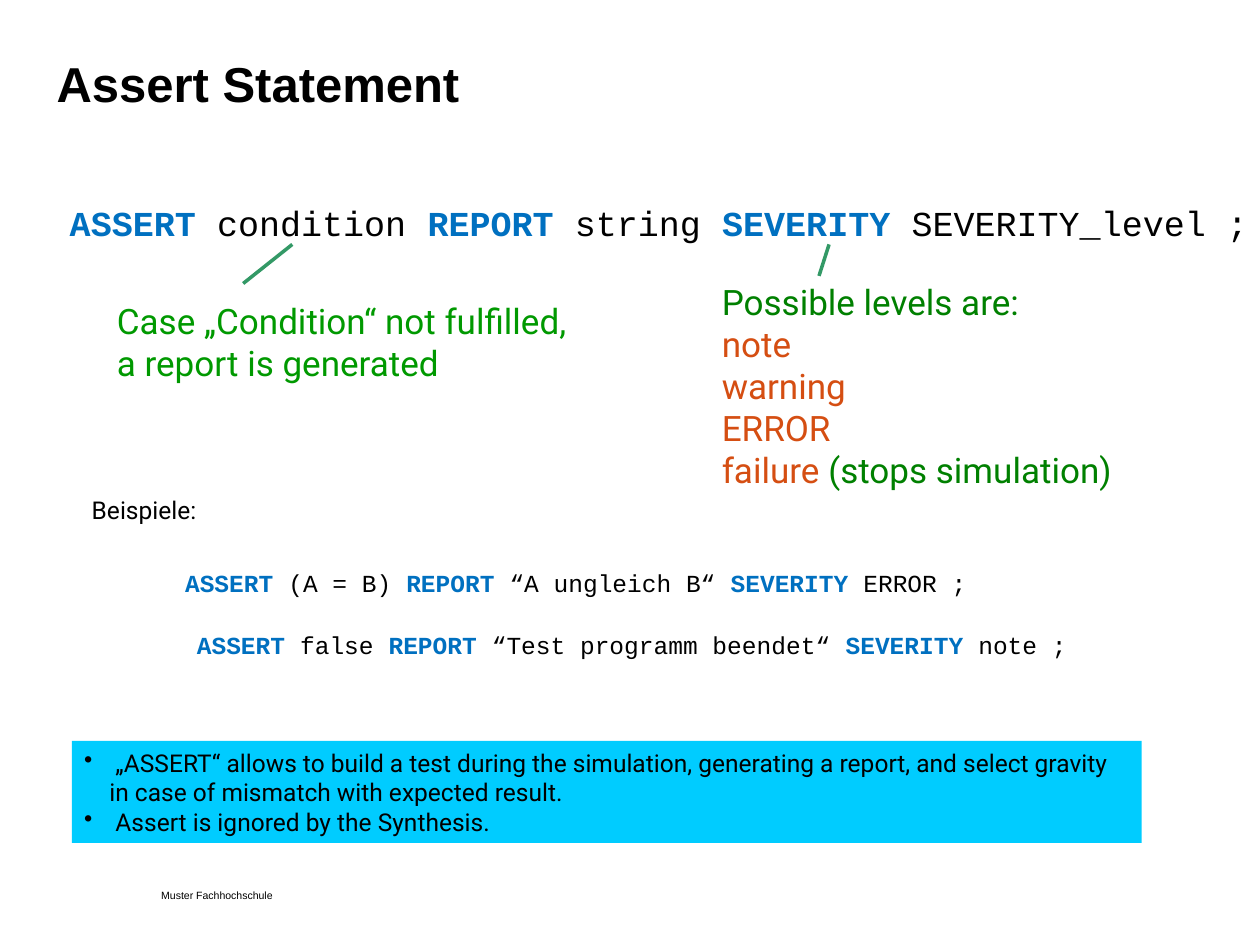
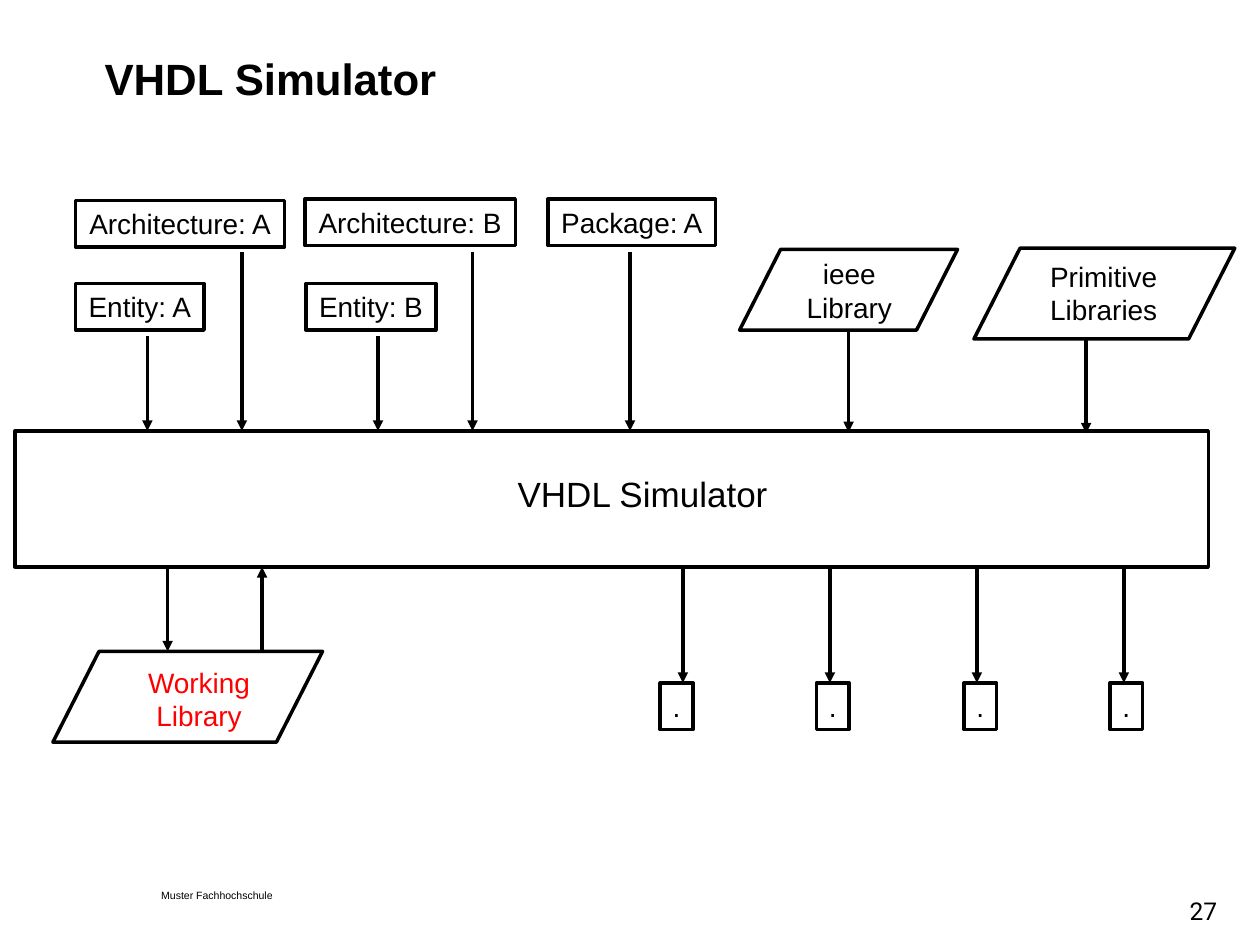
"""Build two VHDL slides: the assert statement and the simulator overview."""
from dataclasses import dataclass
from itertools import groupby

from lxml.etree import SubElement
from pptx import Presentation
from pptx.dml.color import RGBColor as RGB
from pptx.enum.shapes import MSO_CONNECTOR as CONN, MSO_SHAPE as SHAPE
from pptx.enum.text import MSO_ANCHOR as ANCHOR, PP_ALIGN as ALIGN
from pptx.oxml.ns import qn
from pptx.util import Inches, Pt


@dataclass(frozen=True)
class Theme:
    """Colours, fonts and type sizes shared by the slides."""
    black: str = "000000"
    keyword: str = "0070C0"
    levels: str = "008000"
    level_name: str = "D54E12"
    comment: str = "009900"
    callout: str = "339966"
    panel: str = "00CCFF"
    working: str = "FF0000"
    sans: str = "Arial"
    body: str = "Roboto"
    code: str = "Courier New"
    large: int = 20
    label: int = 16
    small: int = 14
    footer: int = 6
    stroke: int = 2


T = Theme()
KEYWORDS = {"ASSERT", "REPORT", "SEVERITY"}
PADDING = (0.1, 0.05)
SIM_TOP, SIM_BOTTOM = 3.42, 4.5
OUTPUT_TOP = 5.42


def set_font(font, name, size, color=None, bold=False):
    """Set typeface, size, weight and optionally colour."""
    font.name, font.size, font.bold = name, Pt(size), bold
    if color:
        font.color.rgb = RGB.from_string(color)


def set_frame(tf, padding=PADDING, wrap=False, anchor=ANCHOR.TOP):
    """Set margins, wrapping and vertical anchor of a text frame."""
    tf.margin_left = tf.margin_right = Inches(padding[0])
    tf.margin_top = tf.margin_bottom = Inches(padding[1])
    tf.word_wrap, tf.vertical_anchor = wrap, anchor


def add_lines(p, text, color=None, bold=None):
    """Append text to a paragraph, with a line break at each newline."""
    for i, line in enumerate(text.split("\n")):
        if i:
            p.add_line_break()
        if line:
            r = p.add_run()
            r.text = line
            if color:
                r.font.color.rgb = RGB.from_string(color)
            if bold is not None:
                r.font.bold = bold


def add_text(s, at, text, name, size, color=T.black, align=ALIGN.LEFT,
             bold=False, **frame):
    """Add a text box with one paragraph and return the paragraph."""
    tf = s.shapes.add_textbox(*map(Inches, at)).text_frame
    set_frame(tf, **frame)
    p = tf.paragraphs[0]
    p.alignment = align
    set_font(p.font, name, size, color, bold)
    add_lines(p, text, color)
    return p


def add_title(s, at, text, size):
    """Add the bold slide title."""
    p = add_text(s, at, text, T.sans, size, bold=True, padding=(0, 0), wrap=True)
    p.line_spacing = Pt(28.1)


def add_footer(s):
    """Add the school name at the foot of the slide."""
    p = add_text(s, (1.28, 7.07, 1.13, 0.08), "Muster Fachhochschule", T.sans,
                 T.footer, padding=(0, 0), wrap=True)
    p.line_spacing = Pt(6.1)


def add_code(s, at, code, size):
    """Add a code line with its keywords bold and coloured."""
    p = add_text(s, at, "", T.code, size, align=ALIGN.CENTER)
    groups = [(is_kw, " ".join(words)) for is_kw, words
              in groupby(code.split(), lambda word: word in KEYWORDS)]
    for i, (is_kw, text) in enumerate(groups, 1):
        gap = " " if i < len(groups) else ""
        add_lines(p, text + gap, T.keyword if is_kw else T.black, is_kw)


def add_line(s, start, end, color=T.black, arrow=False):
    """Add a straight line, optionally with an arrowhead at its end."""
    line = s.shapes.add_connector(CONN.STRAIGHT, *map(Inches, (*start, *end)))
    line.line.color.rgb = RGB.from_string(color)
    line.line.width = Pt(T.stroke)
    if arrow:
        SubElement(line.line._get_or_add_ln(), qn("a:tailEnd"), type="triangle")
    SubElement(line._element.spPr, qn("a:effectLst"))


def add_arrow(s, x, top, bottom):
    """Add a vertical arrow from the first height to the second."""
    add_line(s, (x, top), (x, bottom), arrow=True)


def add_outline(s, at, kind=SHAPE.RECTANGLE):
    """Add an unfilled shape with a black outline."""
    sp = s.shapes.add_shape(kind, *map(Inches, at))
    sp.shadow.inherit = False
    sp.fill.background()
    sp.line.color.rgb = RGB.from_string(T.black)
    sp.line.width = Pt(T.stroke)
    return sp


def add_box(s, at, text):
    """Add an outlined box with a centred label."""
    tf = add_outline(s, at).text_frame
    set_frame(tf, anchor=ANCHOR.MIDDLE)
    p = tf.paragraphs[0]
    p.alignment = ALIGN.CENTER
    set_font(p.font, T.sans, T.label, T.black)
    add_lines(p, text, T.black)


def add_library(s, at, label_at, text, color=T.black):
    """Add a library parallelogram with its label."""
    sp = add_outline(s, at, SHAPE.PARALLELOGRAM)
    sp.adjustments[0] = 0.508
    add_text(s, label_at, text, T.sans, T.label, color, ALIGN.CENTER)


def add_bullet_panel(s, at, items):
    """Add a filled panel with a bulleted list."""
    sp = s.shapes.add_shape(SHAPE.RECTANGLE, *map(Inches, at))
    sp.shadow.inherit = False
    sp.fill.solid()
    sp.fill.fore_color.rgb = RGB.from_string(T.panel)
    sp.line.fill.background()
    tf = sp.text_frame
    set_frame(tf, anchor=ANCHOR.MIDDLE)
    for i, item in enumerate(items):
        p = tf.add_paragraph() if i else tf.paragraphs[0]
        p.alignment = ALIGN.LEFT
        set_font(p.font, T.body, T.small, T.black)
        pPr = p._p.get_or_add_pPr()
        pPr.set("marL", str(Inches(0.2)))
        pPr.set("indent", str(-Inches(0.2)))
        bullet = pPr.makeelement(qn("a:buChar"), {"char": "•"})
        pPr.insert(0, bullet)
        add_lines(p, item, T.black)


def build_assert_slide(s):
    """Build the slide on the assert statement."""
    add_footer(s)
    add_title(s, (0.45, 0.5, 8.5, 0.81), "Assert Statement", 28)
    add_code(s, (0.42, 1.55, 9.62, 0.44),
             "ASSERT condition REPORT string SEVERITY SEVERITY_level ;", T.large)

    p = add_text(s, (5.63, 2.18, 3.31, 1.79), "Possible levels are:\n",
                 T.body, T.large, T.levels)
    add_lines(p, "note\nwarning\nERROR\nfailure ", T.level_name)
    add_lines(p, "(stops simulation)", T.levels)
    add_text(s, (0.83, 2.33, 3.84, 0.77),
             "Case „Condition“ not fulfilled,\na report is generated",
             T.body, T.large, T.comment)
    add_line(s, (6.58, 1.94), (6.5, 2.19), T.callout)
    add_line(s, (2.32, 1.94), (1.93, 2.25), T.callout)

    add_text(s, (0.63, 3.88, 1.03, 0.4), "Beispiele:", T.body, T.small)
    add_code(s, (1.36, 4.46, 6.42, 0.34),
             "ASSERT (A = B) REPORT “A ungleich B“ SEVERITY ERROR ;", T.small)
    add_code(s, (1.45, 4.95, 7.13, 0.34),
             "ASSERT false REPORT “Test programm beendet“ SEVERITY note ;", T.small)
    add_bullet_panel(s, (0.57, 5.88, 8.49, 0.81), [
        " „ASSERT“ allows to build a test during the simulation, generating "
        "a report, and select gravity \n"
        "in case of mismatch with expected result.",
        " Assert is ignored by the Synthesis.",
    ])


def build_simulator_slide(s):
    """Build the slide on the simulator with its inputs and outputs."""
    add_footer(s)
    add_title(s, (0.83, 0.44, 8.5, 0.76), "VHDL Simulator", 25)
    add_text(s, (8.61, 7.07, 1.14, 0.19), "27", T.body, T.small,
             align=ALIGN.RIGHT, padding=(0.09, 0.04), wrap=True)
    add_outline(s, (0.12, SIM_TOP, 9.47, SIM_BOTTOM - SIM_TOP))
    add_text(s, (3.96, 3.7, 2.28, 0.44), "VHDL Simulator", T.sans, T.large,
             align=ALIGN.CENTER)

    units = [("Architecture: A", 0.6, 1.59, 1.66, 1.92),
             ("Entity: A", 0.6, 2.25, 1.02, 1.17),
             ("Architecture: B", 2.42, 1.58, 1.67, 3.75),
             ("Entity: B", 2.43, 2.25, 1.03, 3),
             ("Package: A", 4.35, 1.58, 1.33, 5)]
    for text, left, top, width, arrow_x in units:
        add_box(s, (left, top, width, 0.37), text)
        add_arrow(s, arrow_x, 2.67 if top > 2 else 2, SIM_TOP)

    add_library(s, (5.87, 1.98, 1.73, 0.64), (6.3, 1.99, 0.88, 0.64),
                "ieee\nLibrary")
    add_arrow(s, 6.735, 2.62, 3.43)
    add_library(s, (7.73, 1.97, 2.07, 0.72), (8.23, 2.01, 1.06, 0.64),
                "Primitive\nLibraries")
    add_arrow(s, 8.62, 2.69, 3.44)
    add_library(s, (0.42, 5.17, 2.14, 0.72), (1.07, 5.23, 1.02, 0.64),
                "Working\nLibrary", T.working)
    add_arrow(s, 1.33, SIM_BOTTOM, 5.17)
    add_arrow(s, 2.08, 5.17, SIM_BOTTOM)

    for i, left in enumerate((5.24, 6.48, 7.65, 8.81)):
        add_box(s, (left, OUTPUT_TOP, 0.26, 0.37), ".")
        add_arrow(s, 5.42 + i * 3.5 / 3, SIM_BOTTOM, OUTPUT_TOP)


def main():
    """Create the presentation and save it."""
    prs = Presentation()
    prs.slide_width, prs.slide_height = Inches(10), Inches(7.5)
    for build in (build_assert_slide, build_simulator_slide):
        build(prs.slides.add_slide(prs.slide_layouts[6]))
    prs.save("out.pptx")


if __name__ == "__main__":
    main()
